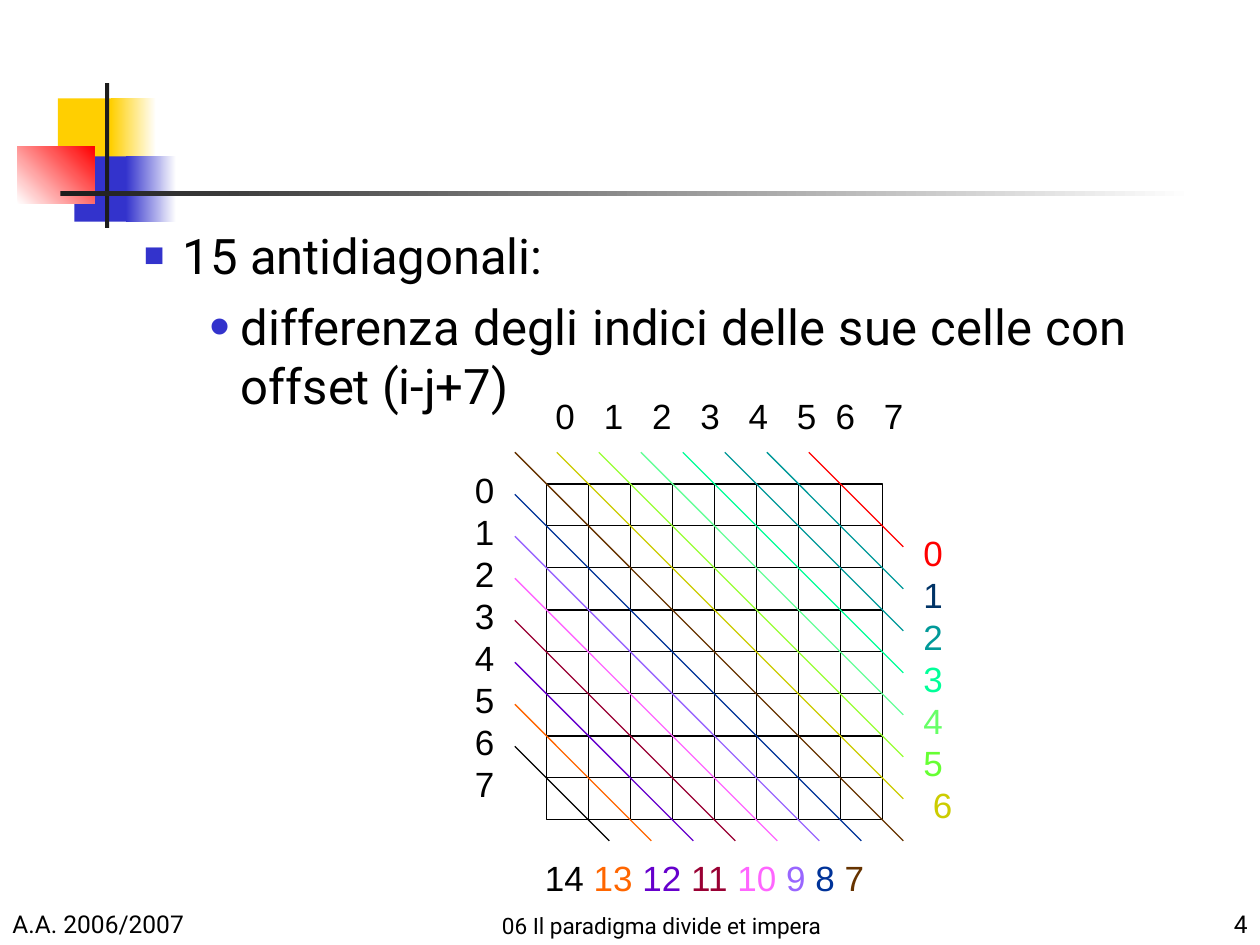
import pptx
import pptx.util
import pptx.dml.color
import pptx.enum.shapes
import pptx.enum.text
import pptx.oxml
import pptx.oxml.ns

Pt = pptx.util.Pt
ALIGN = pptx.enum.text.PP_ALIGN
ANCHOR = pptx.enum.text.MSO_ANCHOR

COLS, ROWS = 30, 22.5  # one grid unit is a third of an inch
CELLS = 8
BOARD_COL, BOARD_ROW = 13.01, 11.52
LABEL_SPACE = 0.23  # width of a space between labels, in columns

COLORS = {
    "white": "FFFFFF", "black": "000000", "ink": "1C1C1C",
    "yellow": "FFCF01", "blue": "3333CC", "red": "FF0000",
    "navy": "003366", "teal": "009999", "aqua": "00FF99",
    "mint": "66FF99", "green": "66FF66", "grass": "66FF33",
    "lime": "99FF33", "olive": "CCCC00", "brown": "663300",
    "royal": "003399", "lilac": "9966FF", "pink": "FF66FF",
    "wine": "990033", "violet": "6600CC", "orange": "FF6600",
}
LOWER_COLORS = ["brown", "royal", "lilac", "pink", "wine", "violet", "orange", "black"]
DIAGONAL_COLORS = ["red", "teal", "teal", "aqua", "mint", "lime", "olive"] + LOWER_COLORS
RIGHT_COLORS = ["red", "navy", "teal", "aqua", "green", "grass", "olive"]


def rgb(name):
    return pptx.dml.color.RGBColor.from_string(COLORS[name])


def add_xml(parent, tag, **attrs):
    el = pptx.oxml.parse_xml(f'<a:{tag} {pptx.oxml.ns.nsdecls("a")}/>')
    for key, value in attrs.items():
        el.set(key, str(value))
    parent.append(el)
    return el


class Deck:
    def __init__(self):
        self.prs = pptx.Presentation()
        self.prs.slide_width = pptx.util.Inches(10)
        self.prs.slide_height = pptx.util.Inches(7.5)
        self.s = self.prs.slides.add_slide(self.prs.slide_layouts[6])

    def x(self, cols):
        return round(self.prs.slide_width * cols / COLS)

    def y(self, rows):
        return round(self.prs.slide_height * rows / ROWS)

    def box(self, col, row, width, height):
        return self.x(col), self.y(row), self.x(width), self.y(height)

    def rect(self, area, fill=None, fade=None, angle=0, line=None):
        """Rectangle, filled plainly or fading from fill to fade."""
        sp = self.s.shapes.add_shape(
            pptx.enum.shapes.MSO_SHAPE.RECTANGLE, *self.box(*area))
        sp.shadow.inherit = False
        if fade:
            sp.fill.gradient()
            sp.fill.gradient_angle = angle
            for stop, color in zip(sp.fill.gradient_stops, (fill, fade)):
                stop.color.rgb = rgb(color)
        elif fill:
            sp.fill.solid()
            sp.fill.fore_color.rgb = rgb(fill)
        else:
            sp.fill.background()
        if line:
            sp.line.color.rgb = rgb(line)
            sp.line.width = Pt(0.75)
        else:
            sp.line.fill.background()

    def line(self, start, end, color):
        cx = self.s.shapes.add_connector(
            pptx.enum.shapes.MSO_CONNECTOR.STRAIGHT,
            self.x(start[0]), self.y(start[1]), self.x(end[0]), self.y(end[1]))
        cx.line.color.rgb = rgb(color)
        cx.line.width = Pt(0.75)
        add_xml(cx._element.spPr, "effectLst")

    def text(self, area, paragraphs, size, font="Roboto", align=ALIGN.LEFT,
             anchor=ANCHOR.TOP, spacing=None):
        """Text box; each paragraph is a list of (text, color) runs."""
        tf = self.s.shapes.add_textbox(*self.box(*area)).text_frame
        tf.word_wrap = True
        tf.vertical_anchor = anchor
        for i, runs in enumerate(paragraphs):
            p = tf.add_paragraph() if i else tf.paragraphs[0]
            p.alignment = align
            p.line_spacing = spacing
            for text, color in runs:
                r = p.add_run()
                r.text = text
                r.font.size = Pt(size)
                r.font.name = font
                r.font.color.rgb = rgb(color)
        return tf

    def labels(self, area, paragraphs):
        return self.text(area, paragraphs, 20, "Arial", spacing=Pt(24))

    def bullet(self, p, char, share, left, hang):
        p.space_before = Pt(7)
        pPr = p._p.get_or_add_pPr()
        pPr.set("marL", str(self.x(left)))
        pPr.set("indent", str(-self.x(hang)))
        add_xml(add_xml(pPr, "buClr"), "srgbClr", val=COLORS["blue"])
        add_xml(pPr, "buSzPct", val=share * 1000)
        add_xml(pPr, "buFont", typeface="Arial")
        add_xml(pPr, "buChar", char=char)


def add_decoration(deck):
    deck.rect((1.38, 2.34, 1.44, 1.56), "yellow")
    deck.rect((2.64, 2.34, 1.08, 1.56), "yellow", "white")
    deck.rect((1.77, 3.72, 1.38, 1.56), "blue")
    deck.rect((3, 3.72, 1.2, 1.56), "blue", "white")
    deck.rect((0.42, 3.48, 1.83, 1.38), "white", "red", angle=45)
    deck.rect((2.5, 1.98, 0.1, 3.45), "ink")
    deck.rect((1.44, 4.56, 27, 0.12), "ink", "white")


def add_texts(deck):
    footers = [
        (0, 6.24, "A.A. 2006/2007", 14, ALIGN.LEFT),
        (11, 9.5, "06 Il paradigma divide et impera", 12.9, ALIGN.CENTER),
        (23.76, 6.24, "4", 14, ALIGN.RIGHT),
    ]
    for col, width, text, size, align in footers:
        deck.text((col, 21, width, 1.5), [[(text, "black")]], size,
                  align=align, anchor=ANCHOR.BOTTOM)

    body = ["15 antidiagonali:",
            "differenza degli indici delle sue celle con offset (i-j+7)"]
    tf = deck.text((2.5, 1, 24.63, 14.88), [[(text, "black")] for text in body],
                   28, anchor=ANCHOR.MIDDLE)
    tf.margin_bottom = deck.y(1.8)
    deck.bullet(tf.paragraphs[0], "■", 70, 1.56, 0.93)
    deck.bullet(tf.paragraphs[1], "•", 120, 2.94, 0.75)
    tf.paragraphs[1].alignment = ALIGN.JUSTIFY


def add_labels(deck):
    digits = [str(i) for i in range(CELLS)]
    top = deck.labels((12.93, 9.24, 9.5, 1.32), [[("\t".join(digits), "black")]])
    tabs = add_xml(top.paragraphs[0]._p.get_or_add_pPr(), "tabLst")
    for i in range(1, CELLS):
        # digits 6 and 7 sit one space closer
        stop = 5 * LABEL_SPACE * i - (LABEL_SPACE if i >= 6 else 0)
        add_xml(tabs, "tab", pos=deck.x(stop), algn="l")

    deck.labels((11.01, 11.01, 1.05, 8.31), [[(d, "black")] for d in digits])
    right = deck.labels((21.69, 12.51, 1.29, 7.32),
                        [[run] for run in zip(digits, RIGHT_COLORS)])
    right.paragraphs[-1]._p.get_or_add_pPr().set("marL", str(deck.x(LABEL_SPACE)))

    numbers = range(14, 6, -1)
    deck.labels((12.45 + LABEL_SPACE, 20.25, 9, 1.32),
                [[(f"{n} " if n > 7 else str(n), color)
                  for n, color in zip(numbers, reversed(LOWER_COLORS))]])


def add_board(deck):
    for col in range(CELLS):
        for row in range(CELLS):
            deck.rect((BOARD_COL + col, BOARD_ROW + row, 1, 1), line="black")
    for d, color in enumerate(DIAGONAL_COLORS):
        col, row = max(CELLS - 1 - d, 0), max(d - CELLS + 1, 0)
        start = BOARD_COL + col - 0.75, BOARD_ROW + row - 0.75
        end = BOARD_COL + CELLS + 0.5 - row, BOARD_ROW + CELLS + 0.5 - col
        deck.line(start, end, color)


def main():
    deck = Deck()
    add_decoration(deck)
    add_texts(deck)
    add_labels(deck)
    add_board(deck)
    deck.prs.save("out.pptx")


if __name__ == "__main__":
    main()
